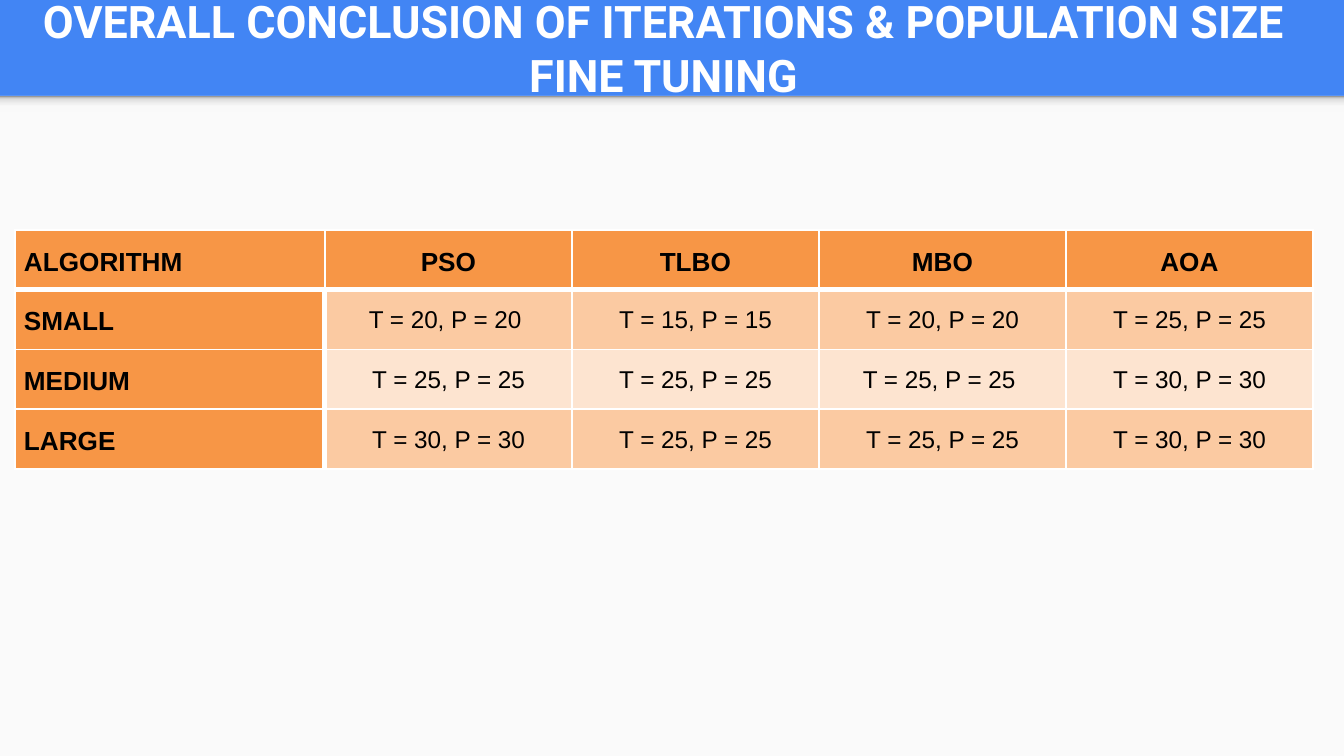
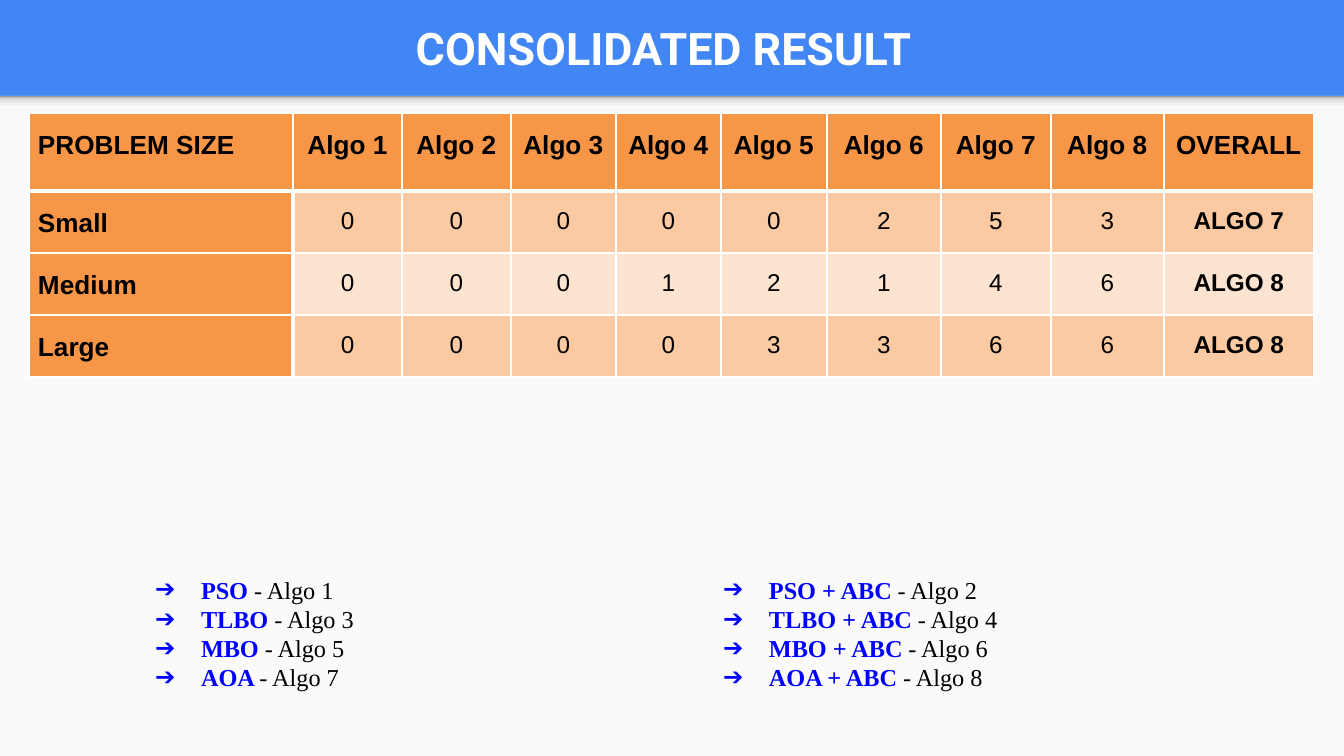
from lxml.etree import SubElement
from pptx import Presentation
from pptx.dml.color import RGBColor
from pptx.enum.shapes import MSO_SHAPE
from pptx.enum.text import MSO_ANCHOR, MSO_AUTO_SIZE as FIT, PP_ALIGN as ALIGN
from pptx.oxml.ns import qn
from pptx.util import Pt

PX = 914400 / 134.4
W, H = 1344, 756
BLUE, PANEL, WHITE, BLACK = "4285F4", "FAFAFA", "FFFFFF", "000000"
ORANGE, PEACH, CREAM = "F79646", "FBCAA2", "FDE4D0"
LINK_BLUE = "0000FF"
SHADE = [(0, "F9F9F9"), (36, "F9F9F9"), (80, "DEDEDE"), (100, "999999")]
TITLE_BOX = (15, 3, 1297, 89)
INSET = 13


def px(n):
    return round(n * PX)


def rgb(color):
    return RGBColor.from_string(color)


def place(sp, box):
    sp.left, sp.top, sp.width, sp.height = map(px, box)


def set_font(font, name, size, color, bold):
    font.name, font.size, font.bold = name, Pt(size), bold
    font.color.rgb = rgb(color)


def set_margins(target, side):
    target.margin_left = target.margin_right = px(side)
    target.margin_top = target.margin_bottom = px(INSET)


def add_color(parent, color):
    SubElement(parent, qn("a:srgbClr"), val=color)


def add_rect(s, box):
    sp = s.shapes.add_shape(MSO_SHAPE.RECTANGLE, *map(px, box))
    sp.shadow.inherit = False
    sp.line.fill.background()
    return sp


def build_master(master, s):
    master.background.fill.solid()
    master.background.fill.fore_color.rgb = rgb(BLUE)
    panel = add_rect(s, (0, 96, W, H - 96))
    panel.fill.solid()
    panel.fill.fore_color.rgb = rgb(PANEL)
    shade = add_rect(s, (0, 96, W, 16))
    shade.fill.gradient()
    shade.fill.gradient_angle = 90
    stops = shade.element.spPr.find(".//" + qn("a:gsLst"))
    for gs in list(stops):
        stops.remove(gs)
    for pos, color in SHADE:
        add_color(SubElement(stops, qn("a:gs"), pos=str(pos * 1000)), color)
    for i, sp in enumerate((panel, shade)):
        sp.element.nvSpPr.cNvPr.set("id", str(20 + i))
        master.shapes.element.insert(2 + i, sp.element)


def set_title(s, text):
    sp = s.shapes.title
    place(sp, TITLE_BOX)
    tf = sp.text_frame
    tf.text = text
    tf.word_wrap, tf.auto_size = True, FIT.NONE
    tf.vertical_anchor = MSO_ANCHOR.MIDDLE
    set_margins(tf, INSET)
    p = tf.paragraphs[0]
    p.alignment = ALIGN.CENTER
    set_font(p.font, "Roboto", 24, WHITE, True)


def set_borders(cell, r, c):
    widths = {
        "L": 3 if r and c == 1 else 1,
        "R": 3 if r and c == 0 else 1,
        "T": 3 if r == 1 else 1,
        "B": 3 if r == 0 else 1,
    }
    tc_pr = cell._tc.get_or_add_tcPr()
    for side, width in widths.items():
        ln = SubElement(tc_pr, qn("a:ln" + side), w=str(Pt(width)))
        add_color(SubElement(ln, qn("a:solidFill")), WHITE)


def fill_cell(cell, r, c, text, bold):
    heading = r == 0 or c == 0
    cell.text = text
    set_margins(cell, 9)
    set_borders(cell, r, c)
    cell.fill.solid()
    cell.fill.fore_color.rgb = rgb(ORANGE if heading else PEACH if r % 2 else CREAM)
    p = cell.text_frame.paragraphs[0]
    p.alignment = ALIGN.CENTER if c else ALIGN.LEFT
    p.line_spacing = 1.15
    set_font(p.font, "Arial", 14 if heading else 13, BLACK, heading or bold)


def add_grid(s, left, top, widths, heights, rows, bold_col=None):
    box = (left, top, sum(widths), sum(heights))
    table = s.shapes.add_table(len(rows), len(widths), *map(px, box)).table
    table.first_row = table.horz_banding = False
    for col, width in zip(table.columns, widths):
        col.width = px(width)
    for row, height in zip(table.rows, heights):
        row.height = px(height)
    for r, row in enumerate(rows):
        for c, text in enumerate(row):
            fill_cell(table.cell(r, c), r, c, text, c == bold_col)


def add_arrow_bullet(p):
    p_pr = p._p.get_or_add_pPr()
    p_pr.set("marL", str(px(67)))
    p_pr.set("indent", str(px(-46)))
    add_color(SubElement(p_pr, qn("a:buClr")), LINK_BLUE)
    SubElement(p_pr, qn("a:buChar"), char="➔")


def fill_legend(sp, box, items):
    place(sp, box)
    tf = sp.text_frame
    tf.word_wrap, tf.auto_size = True, FIT.SHAPE_TO_FIT_TEXT
    set_margins(tf, INSET)
    for i, (name, label) in enumerate(items):
        p = tf.add_paragraph() if i else tf.paragraphs[0]
        p.alignment = ALIGN.JUSTIFY
        p.space_before = Pt(0)
        add_arrow_bullet(p)
        for text, color, bold in ((name + " ", LINK_BLUE, True), ("- " + label, BLACK, False)):
            r = p.add_run()
            r.text = text
            set_font(r.font, "Times New Roman", 13, color, bold)


def build_tuning(s):
    set_title(s, "OVERALL CONCLUSION OF ITERATIONS & POPULATION SIZE FINE TUNING")
    rows = [
        ["ALGORITHM", "PSO", "TLBO", "MBO", "AOA"],
        ["SMALL", "T = 20, P = 20 ", "T = 15, P = 15", "T = 20, P = 20", "T = 25, P = 25"],
        ["MEDIUM", "T = 25, P = 25", "T = 25, P = 25", "T = 25, P = 25 ", "T = 30, P = 30"],
        ["LARGE", "T = 30, P = 30", "T = 25, P = 25", "T = 25, P = 25", "T = 30, P = 30"],
    ]
    add_grid(s, 15, 230, [310] + [247] * 4, [40, 42, 39, 39], rows)


def build_result(s):
    set_title(s, "CONSOLIDATED RESULT")
    rows = [
        ["PROBLEM SIZE", *(f"Algo {n}" for n in range(1, 9)), "OVERALL"],
        ["Small", *"00000253", "ALGO 7"],
        ["Medium", *"00012146", "ALGO 8"],
        ["Large", *"00003366", "ALGO 8"],
    ]
    widths = [264, 109, 109, 105, 105, 106, 114, 110, 113, 150]
    add_grid(s, 29, 113, widths, [78, 42, 39, 39], rows, bold_col=9)
    names = ["PSO", "TLBO", "MBO", "AOA"]
    for i, (left, suffix) in enumerate(((121, ""), (689, " + ABC"))):
        items = [(name + suffix, f"Algo {2 * n + i + 1}") for n, name in enumerate(names)]
        fill_legend(s.placeholders[i + 1], (left, 562, 551, 145), items)


def main():
    prs = Presentation()
    prs.slide_width, prs.slide_height = px(W), px(H)
    tuning = prs.slides.add_slide(prs.slide_layouts[5])
    build_master(prs.slide_master, tuning)
    build_tuning(tuning)
    build_result(prs.slides.add_slide(prs.slide_layouts[3]))
    prs.save("out.pptx")


if __name__ == "__main__":
    main()
